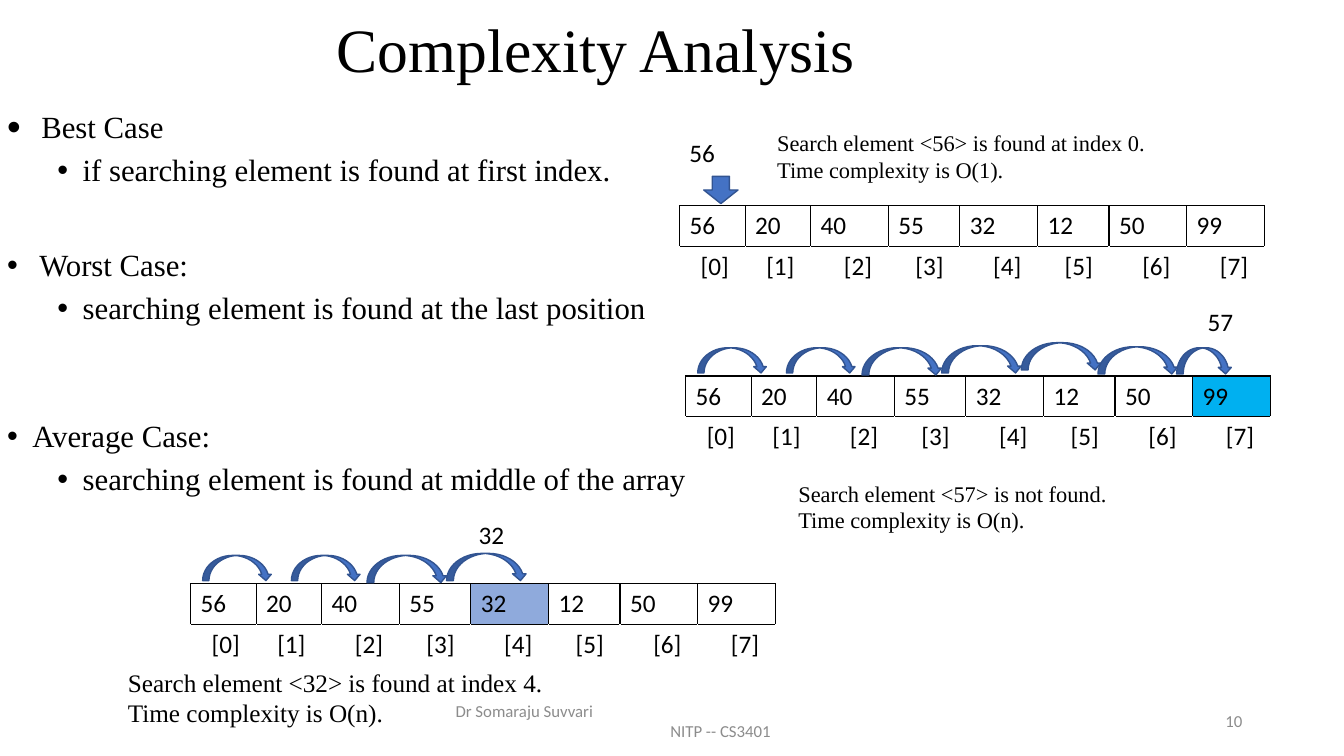
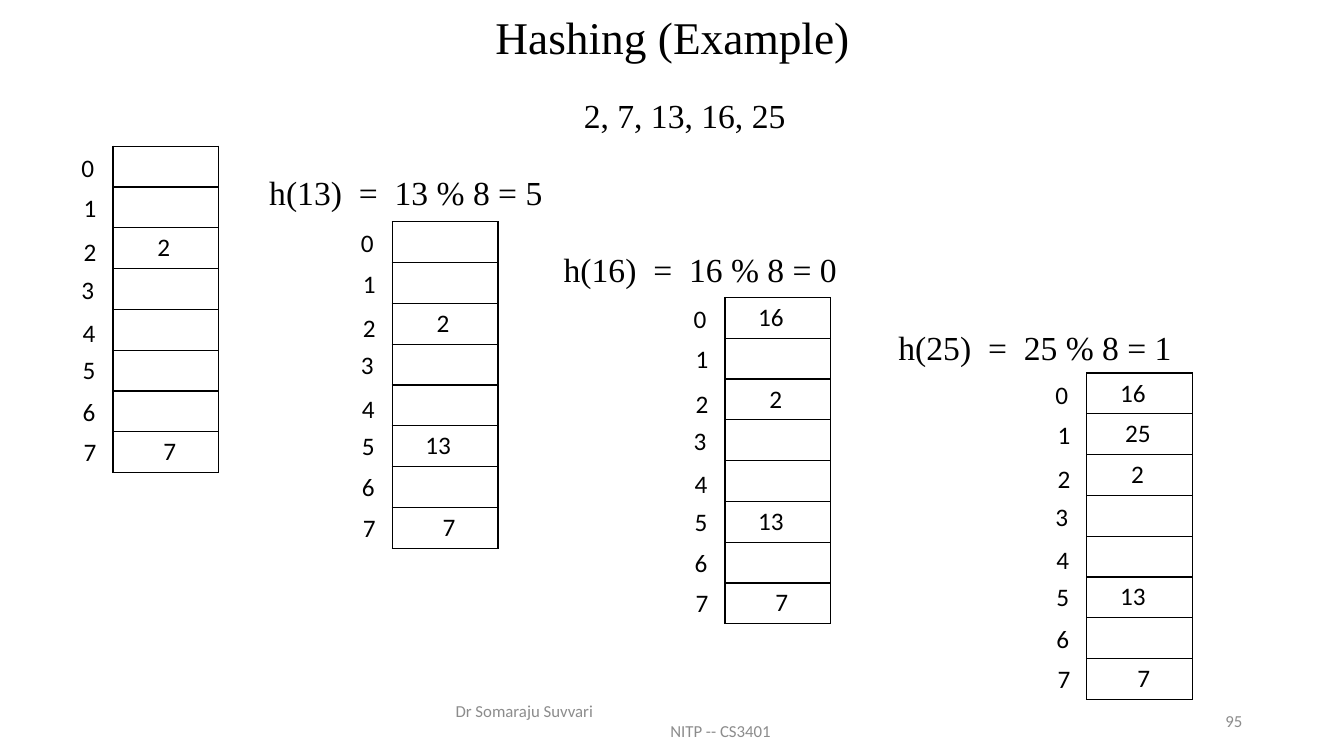
from lxml import etree
from pptx import Presentation
from pptx.dml.color import RGBColor
from pptx.enum.shapes import MSO_SHAPE
from pptx.enum.text import MSO_ANCHOR, MSO_AUTO_SIZE, PP_ALIGN
from pptx.oxml.ns import qn
from pptx.util import Inches, Pt

LEFT, MID, RIGHT = PP_ALIGN.LEFT, PP_ALIGN.CENTER, PP_ALIGN.RIGHT
TOP, CENTER = MSO_ANCHOR.TOP, MSO_ANCHOR.MIDDLE
NOFIT = MSO_AUTO_SIZE.NONE
ARC, DOWN = MSO_SHAPE.CURVED_DOWN_ARROW, MSO_SHAPE.DOWN_ARROW
SERIF, SANS = "Times New Roman", "Calibri"
BLACK, WHITE, GREY = "000000", "FFFFFF", "8C8C8C"
BLUE, NAVY, SKY, PALE = "4472C4", "325491", "00B0F0", "8FAADC"

# Footer: text, left indent
FOOTER = [("Dr Somaraju Suvvari", 0), ("NITP -- CS3401", 2.13)]

# Cases: name, text indent, space before, detail
CASES = [
    ("Best Case", 0.34, 0, "if searching element is found at first index."),
    ("Worst Case:", 0.32, 44, "searching element is found at the last position"),
    ("Average Case:", 0.25, 68, "searching element is found at middle of the array"),
]
VALUES = [56, 20, 40, 55, 32, 12, 50, 99]
WIDTHS = [0.65, 0.65, 0.77, 0.71, 0.77, 0.71, 0.77, 0.77]
# Arrays: left, top, marked cell, mark colour, number of hops
ARRAYS = [(6.74, 2.04, None, None, 0),
          (6.8, 3.73, 7, SKY, 7),
          (1.89, 5.79, 4, PALE, 4)]
# Hops: left and top from the array's corner, width, height
HOPS = [(0.12, -0.28, 0.69, 0.25), (1, -0.28, 0.69, 0.25),
        (1.75, -0.28, 0.8, 0.27), (2.54, -0.3, 0.8, 0.27),
        (3.33, -0.33, 0.8, 0.27), (4.09, -0.29, 0.8, 0.27),
        (4.87, -0.28, 0.55, 0.26)]
# Sought values: text, left, top
KEYS = [("56", 6.74, 1.31), ("57", 11.88, 2.99), ("32", 4.65, 5.1)]
# Notes: place, size, lines
NOTES = [
    ((7.61, 1.23, 4.16, 0.64), 16,
     ["Search element <56> is found at index 0.", "Time complexity is O(1)."]),
    ((7.82, 4.71, 3.63, 0.64), 16,
     ["Search element <57> is not found.", "Time complexity is O(n)."]),
    ((1.17, 6.57, 4.49, 0.71), 18,
     ["Search element <32> is found at index 4.", "Time complexity is O(n)."]),
]

# Hash steps: text, left indent, alignment
STEPS = [("2, 7, 13, 16, 25", 0, MID),
         ("h(13)  =  13 % 8 = 5", 2, LEFT),
         ("h(16)  =  16 % 8 = 0", 4.92, LEFT),
         ("h(25)  =  25 % 8 = 1", 8.24, LEFT)]
# Hash tables: left, key by slot
HASHES = [(1.12, {2: 2, 7: 7}),
          (3.89, {2: 2, 5: 13, 7: 7}),
          (7.19, {0: 16, 2: 2, 5: 13, 7: 7}),
          (10.78, {0: 16, 1: 25, 2: 2, 5: 13, 7: 7})]
INSETS = {2: 0.44, 7: 0.5, 13: 0.33, 16: 0.33, 25: 0.38}
# Slot numbers: shift right, drop below the table top
SLOTS = [(0, 0.01), (0.02, 0.41), (0.02, 0.85), (0, 1.22),
         (0.01, 1.65), (0.01, 2.02), (0.01, 2.43), (0.02, 2.83)]
ROW = 0.405


def rgb(code):
    """Turn a hex string into a colour."""
    return RGBColor.from_string(code)


def style(para, size, face=SANS, color=BLACK, align=LEFT):
    """Set font and alignment of a paragraph."""
    font = para.font
    font.size, font.name, font.color.rgb = Pt(size), face, rgb(color)
    para.alignment = align


def space(para, line, before):
    """Set line spacing and the gap above a paragraph."""
    para.line_spacing, para.space_before = line, Pt(before)


def indent(para, left, hang=0.0, bullet=None, scale=100):
    """Indent a paragraph and set or clear its bullet."""
    props = para._p.get_or_add_pPr()
    props.set("marL", str(Inches(left)))
    props.set("indent", str(Inches(-hang)))
    if bullet:
        etree.SubElement(props, qn("a:buSzPct")).set("val", str(scale * 1000))
        etree.SubElement(props, qn("a:buFont")).set("typeface", "Arial")
        etree.SubElement(props, qn("a:buChar")).set("char", bullet)
    else:
        etree.SubElement(props, qn("a:buNone"))


def place(shape, box, anchor):
    """Move a placeholder and fix its text frame."""
    shape.left, shape.top, shape.width, shape.height = map(Inches, box)
    frame = shape.text_frame
    frame.auto_size, frame.word_wrap = NOFIT, True
    frame.vertical_anchor = anchor
    return frame


def label(shapes, box, lines, size=18, face=SANS, color=BLACK, align=LEFT,
          anchor=TOP):
    """Add a text box with one paragraph per line."""
    frame = shapes.add_textbox(*map(Inches, box)).text_frame
    frame.word_wrap, frame.vertical_anchor = True, anchor
    frame.text = "\n".join(lines)
    for para in frame.paragraphs:
        style(para, size, face, color, align)
    return frame


def start(deck, title, box, size, align, number):
    """Add a slide with its title and footer."""
    slide = deck.slides.add_slide(deck.slide_layouts[1])
    frame = place(slide.shapes.title, box, CENTER)
    frame.text = title
    style(frame.paragraphs[0], size, SERIF, align=align)
    space(frame.paragraphs[0], 0.9, 0)
    foot = label(slide.shapes, (4.42, 6.95, 4.5, 0.4),
                 [text for text, _ in FOOTER], 12, color=GREY, anchor=CENTER)
    for para, (_, left) in zip(foot.paragraphs, FOOTER):
        indent(para, left)
    label(slide.shapes, (9.42, 6.95, 3, 0.4), [number], 12, color=GREY,
          align=RIGHT, anchor=CENTER)
    return slide


def symbol(slide, kind, box):
    """Add a blue arrow shape."""
    shape = slide.shapes.add_shape(kind, *map(Inches, box))
    shape.shadow.inherit = False
    shape.fill.solid()
    shape.fill.fore_color.rgb = rgb(BLUE)
    shape.line.color.rgb, shape.line.width = rgb(NAVY), Pt(1)


def grid(slide, left, top, widths, rows):
    """Add a plain table with the given column widths."""
    table = slide.shapes.add_table(
        rows, len(widths), Inches(left), Inches(top),
        Inches(sum(widths)), Inches(ROW * rows)).table
    table.first_row = table.horz_banding = False
    for col, width in zip(table.columns, widths):
        col.width = Inches(width)
    for row in table.rows:
        row.height = Inches(ROW)
    return table


def cell_at(table, row, col, text, inset, sides="LRTB", fill=WHITE):
    """Write a cell with black borders on the named sides."""
    cell = table.cell(row, col)
    cell.text, cell.margin_left = text, Inches(inset)
    style(cell.text_frame.paragraphs[0], 18)
    props = cell._tc.get_or_add_tcPr()
    for side in sides:
        line = etree.SubElement(props, qn("a:ln" + side), w=str(Pt(1)))
        paint = etree.SubElement(line, qn("a:solidFill"))
        etree.SubElement(paint, qn("a:srgbClr"), val=BLACK)
    cell.fill.solid()
    cell.fill.fore_color.rgb = rgb(fill)


def search(deck):
    """Build the slide on search cost."""
    slide = start(deck, "Complexity Analysis", (3.24, 0.13, 5.8, 0.79), 44,
                  LEFT, "10")
    frame = place(slide.placeholders[1], (-0.03, 1.06, 8.14, 5.45), TOP)
    frame.text = "\n".join(f"{name}\n{detail}" for name, _, _, detail in CASES)
    paras = frame.paragraphs
    for head, sub, (_, left, gap, _) in zip(paras[::2], paras[1::2], CASES):
        sub.level = 1
        for para, before in ((head, gap), (sub, 7)):
            style(para, 22, SERIF)
            space(para, 0.9, before)
        indent(head, left, left, "•", 100 if gap else 127)
        indent(sub, 0.75, 0.25, "•")
    for left, top, mark, color, hops in ARRAYS:
        table = grid(slide, left, top, WIDTHS, 2)
        for i, (value, width) in enumerate(zip(VALUES, WIDTHS)):
            cell_at(table, 0, i, str(value), 0.1,
                    fill=color if i == mark else WHITE)
            cell_at(table, 1, i, f"[{i}]", width - 0.44, "T")
        for x, y, wide, high in HOPS[:hops]:
            symbol(slide, ARC, (left + x, top + y, wide, high))
    symbol(slide, DOWN, (6.98, 1.75, 0.34, 0.27))
    for text, left, top in KEYS:
        label(slide.shapes, (left, top, 0.6, 0.4), [text])
    for box, size, lines in NOTES:
        label(slide.shapes, box, lines, size, SERIF)


def hashing(deck):
    """Build the slide on hashing."""
    slide = start(deck, "Hashing (Example)", (0.92, 0.1, 11.5, 0.59), 32.4,
                  MID, "95")
    frame = place(slide.placeholders[1], (0.57, 0.69, 12.44, 6.26), TOP)
    frame.text = "\n".join(text for text, _, _ in STEPS)
    for para, (_, left, align) in zip(frame.paragraphs, STEPS):
        style(para, 24, SERIF, align=align)
        space(para, 1.5, 12)
        indent(para, left)
    for i, (left, keys) in enumerate(HASHES):
        top = 1.45 + 0.75 * i
        table = grid(slide, left, top, [1.05], len(SLOTS))
        group = slide.shapes.add_group_shape()
        for slot, (shift, drop) in enumerate(SLOTS):
            key = keys.get(slot)
            cell_at(table, slot, 0, str(key or ""), INSETS.get(key, 0.1))
            label(group.shapes, (left - 0.41 + shift, top + drop, 0.41, 0.4),
                  [str(slot)])


deck = Presentation()
deck.slide_width, deck.slide_height = Inches(13.33), Inches(7.5)
search(deck)
hashing(deck)
deck.save("out.pptx")
